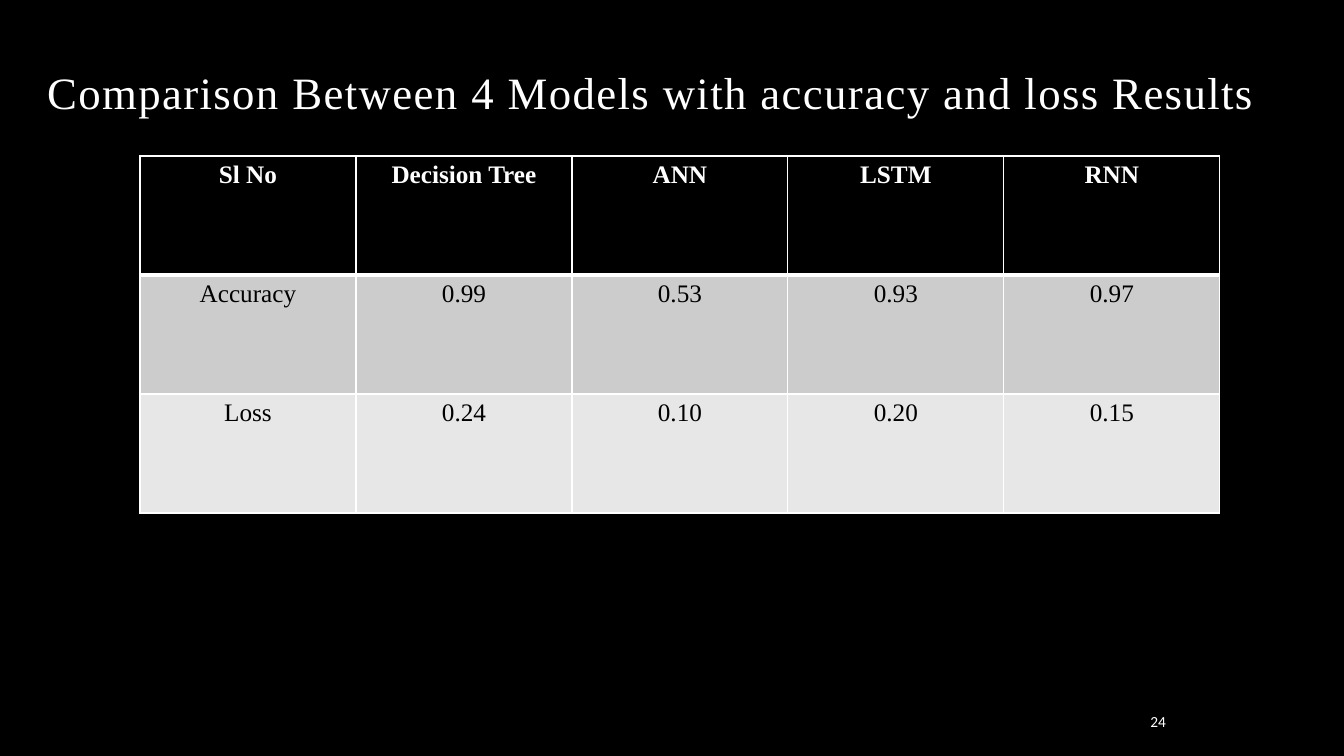
from dataclasses import dataclass

from lxml.etree import SubElement
from pptx import Presentation
from pptx.dml.color import RGBColor
from pptx.enum.text import MSO_ANCHOR, PP_ALIGN
from pptx.oxml.ns import qn
from pptx.util import Emu, Pt


@dataclass(frozen=True)
class Theme:
    dark: str = "000000"
    light: str = "FFFFFF"
    row_fills: tuple = ("000000", "CCCCCC", "E7E7E7")
    serif: str = "Times New Roman"
    sans: str = "Calibri"
    title_size: int = 32
    table_size: int = 18
    number_size: int = 11
    rule: int = 1
    header_rule: int = 3


def px(n):
    return Emu(round(n * 914400 / 100.8))


def write(tf, text, *, size, color, font, bold=False, align=PP_ALIGN.LEFT,
          line_spacing=None, tracking=None):
    p = tf.paragraphs[0]
    p.alignment = align
    p.line_spacing = line_spacing
    r = p.add_run()
    r.text = text
    r.font.size = Pt(size)
    r.font.name = font
    r.font.bold = bold
    r.font.color.rgb = RGBColor.from_string(color)
    if tracking:
        r.font._element.set("spc", str(tracking * 100))


class SlideBuilder:
    def __init__(self, prs, theme):
        self.theme = theme
        self.s = prs.slides.add_slide(prs.slide_layouts[5])
        fill = self.s.background.fill
        fill.solid()
        fill.fore_color.rgb = RGBColor.from_string(theme.dark)

    def title(self, text, x, y, w, h):
        t = self.theme
        sp = self.s.shapes.title
        sp.left, sp.top, sp.width, sp.height = map(px, (x, y, w, h))
        sp.text_frame.vertical_anchor = MSO_ANCHOR.BOTTOM
        write(sp.text_frame, text, size=t.title_size, color=t.light,
              font=t.serif, line_spacing=0.9, tracking=1)

    def page_number(self, text, x, y, w, h):
        t = self.theme
        tf = self.s.shapes.add_textbox(*map(px, (x, y, w, h))).text_frame
        tf.word_wrap = True
        tf.vertical_anchor = MSO_ANCHOR.MIDDLE
        write(tf, text, size=t.number_size, color=t.light, font=t.sans,
              align=PP_ALIGN.RIGHT)

    def borders(self, cell, top, bottom):
        t = self.theme
        tcPr = cell._tc.get_or_add_tcPr()
        widths = {"lnL": t.rule, "lnR": t.rule, "lnT": top, "lnB": bottom}
        for i, (tag, width) in enumerate(widths.items()):
            ln = SubElement(tcPr, qn(f"a:{tag}"), w=str(Pt(width)))
            fill = SubElement(ln, qn("a:solidFill"))
            SubElement(fill, qn("a:srgbClr"), val=t.light)
            tcPr.insert(i, ln)

    def table(self, rows, x, y, col_w, row_h):
        t = self.theme
        n_rows, n_cols = len(rows), len(rows[0])
        table = self.s.shapes.add_table(
            n_rows, n_cols, px(x), px(y),
            px(col_w * n_cols), px(row_h * n_rows)).table
        for col in table.columns:
            col.width = px(col_w)
        for i, values in enumerate(rows):
            table.rows[i].height = px(row_h)
            header = i == 0
            for j, value in enumerate(values):
                cell = table.cell(i, j)
                cell.fill.solid()
                cell.fill.fore_color.rgb = RGBColor.from_string(t.row_fills[i])
                self.borders(cell, t.header_rule if i == 1 else t.rule,
                             t.header_rule if header else t.rule)
                write(cell.text_frame, value, size=t.table_size,
                      color=t.light if header else t.dark, font=t.serif,
                      bold=header, align=PP_ALIGN.CENTER)


def main():
    prs = Presentation()
    prs.slide_width, prs.slide_height = px(1344), px(756)
    slide = SlideBuilder(prs, Theme())
    slide.title("Comparison Between 4 Models with accuracy and loss Results",
                37, 42, 1238, 82)
    slide.page_number("24", 1084, 706, 92, 30)
    slide.table([
        ["Sl No", "Decision Tree", "ANN", "LSTM", "RNN"],
        ["Accuracy", "0.99", "0.53", "0.93", "0.97"],
        ["Loss", "0.24", "0.10", "0.20", "0.15"],
    ], 140, 156, 216, 119)
    prs.save("out.pptx")


if __name__ == "__main__":
    main()
